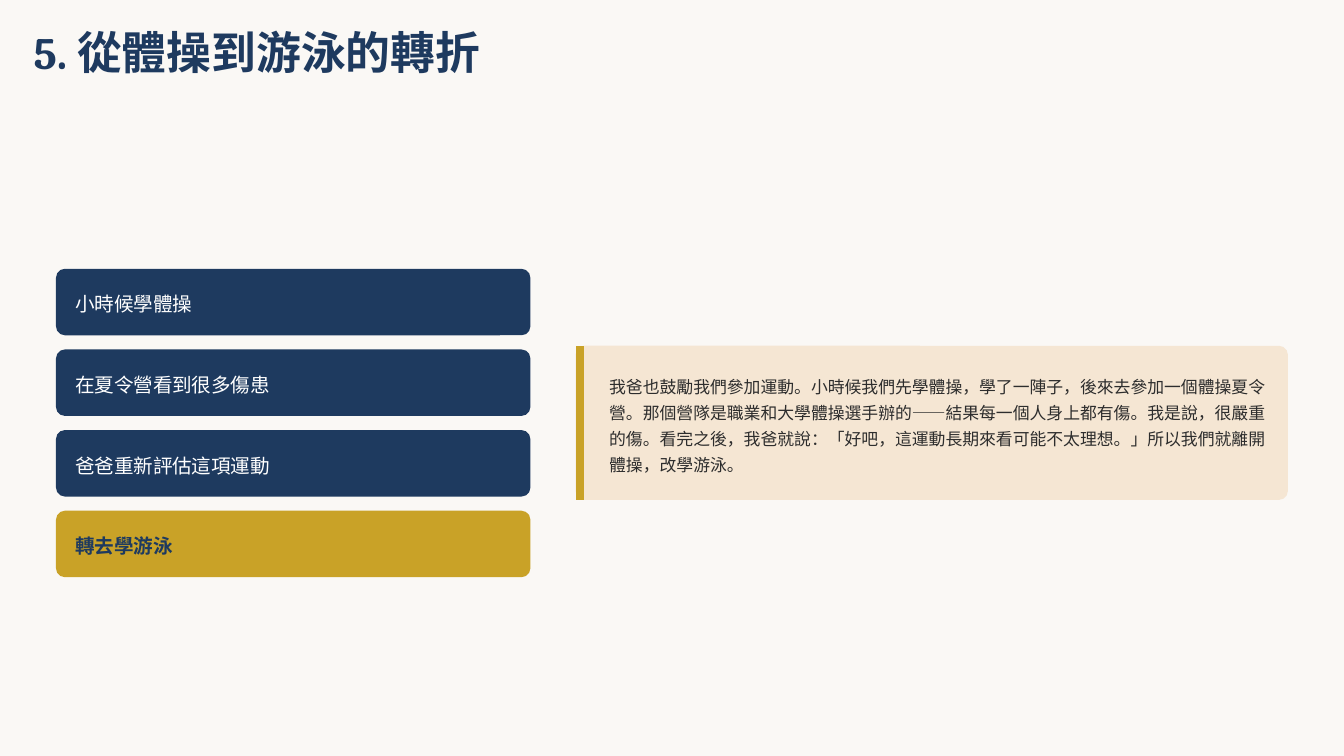
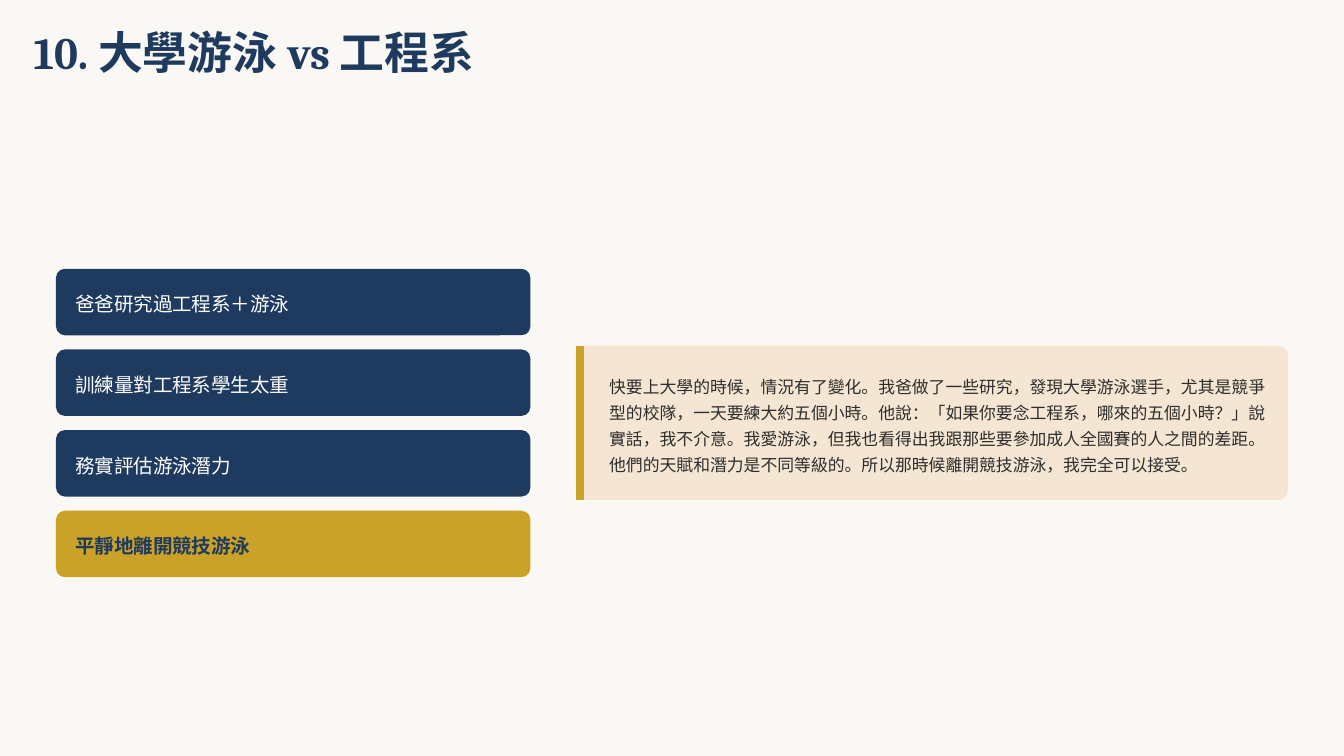
from lxml.etree import SubElement
from pptx import Presentation
from pptx.dml.color import RGBColor
from pptx.enum.shapes import MSO_CONNECTOR, MSO_SHAPE
from pptx.enum.text import MSO_ANCHOR, MSO_AUTO_SIZE, PP_ALIGN
from pptx.oxml.ns import qn
from pptx.util import Inches, Pt

WIDE = Inches(10)
HIGH = WIDE * 9 // 16
COLS = 100
UNIT = WIDE / COLS

NAVY, GOLD, SAND = "1E3A5F", "C9A227", "F5E6D3"
PAPER, WHITE, INK = "FAF8F5", "FFFFFF", "2D2D2D"
HEAD, BODY = "Cambria", "Arial"

TITLE = (2.5, 2.5, 48.6, 3.3)
STEPS = (4.17, 20, 35.3, 22.95)
QUOTE = (42.83, 25.73, 53, 11.47)

PAGES = [
    (
        "5. 從體操到游泳的轉折",
        ["小時候學體操", "在夏令營看到很多傷患", "爸爸重新評估這項運動", "轉去學游泳"],
        "我爸也鼓勵我們參加運動。小時候我們先學體操，學了一陣子，後來去參加一個體操夏令營。"
        "那個營隊是職業和大學體操選手辦的——結果每一個人身上都有傷。我是說，很嚴重的傷。"
        "看完之後，我爸就說：「好吧，這運動長期來看可能不太理想。」所以我們就離開體操，改學游泳。",
    ),
    (
        "10. 大學游泳 vs 工程系",
        ["爸爸研究過工程系＋游泳", "訓練量對工程系學生太重", "務實評估游泳潛力", "平靜地離開競技游泳"],
        "快要上大學的時候，情況有了變化。我爸做了一些研究，發現大學游泳選手，尤其是競爭型的校隊，"
        "一天要練大約五個小時。他說：「如果你要念工程系，哪來的五個小時？」說實話，我不介意。"
        "我愛游泳，但我也看得出我跟那些要參加成人全國賽的人之間的差距。"
        "他們的天賦和潛力是不同等級的。所以那時候離開競技游泳，我完全可以接受。",
    ),
]


def paint(color, tone):
    color.rgb = RGBColor.from_string(tone)


def grid(*cells):
    return [round(cell * UNIT) for cell in cells]


def write(shape, text, size, lead, tone, face=BODY, bold=False):
    frame = shape.text_frame
    frame.word_wrap = True
    frame.auto_size = MSO_AUTO_SIZE.NONE
    frame.vertical_anchor = MSO_ANCHOR.TOP
    frame.margin_left = frame.margin_right = 0
    frame.margin_top = frame.margin_bottom = 0
    para = frame.paragraphs[0]
    para.alignment = PP_ALIGN.LEFT
    para.line_spacing = Pt(lead)
    run = para.add_run()
    run.text = text
    run.font.size = Pt(size)
    run.font.name = face
    run.font.bold = bold
    paint(run.font.color, tone)


def card(slide, box, tone, bend):
    shape = slide.shapes.add_shape(MSO_SHAPE.ROUNDED_RECTANGLE, *grid(*box))
    shape.adjustments[0] = bend
    shape.shadow.inherit = False
    shape.fill.solid()
    paint(shape.fill.fore_color, tone)
    shape.line.fill.background()


def label(slide, box, *style, **more):
    write(slide.shapes.add_textbox(*grid(*box)), *style, **more)


def title(slide, box, text):
    shape = slide.shapes.title
    shape.left, shape.top, shape.width, shape.height = grid(*box)
    write(shape, text, 24, 24, NAVY, HEAD, True)


def steps(slide, box, items, gap=1.05):
    left, top, wide, high = box
    tall = (high - gap * (len(items) - 1)) / len(items)
    for row, item in enumerate(items):
        last = row == len(items) - 1
        y = top + row * (tall + gap)
        card(slide, (left, y, wide, tall), GOLD if last else NAVY, 0.134)
        label(slide, (left + 1.43, y + 1.45, wide - 2.2, 2.04), item,
              10.5, 14.7, NAVY if last else WHITE, bold=last)


def quote(slide, box, text):
    left, top, wide, high = box
    card(slide, box, SAND, 0.058)
    x = left + 0.31
    bar = slide.shapes.add_connector(
        MSO_CONNECTOR.STRAIGHT, *grid(x, top, x, top + high))
    bar.line.width = Pt(4.5)
    paint(bar.line.color, GOLD)
    SubElement(bar._element.spPr, qn("a:effectLst"))
    label(slide, (left + 2.5, top + 1.88, wide - 3.4, high - 3.76), text,
          9, 13.95, INK)


def main():
    deck = Presentation()
    deck.slide_width, deck.slide_height = WIDE, HIGH
    back = deck.slide_master.background.fill
    back.solid()
    paint(back.fore_color, PAPER)
    plan = deck.slide_layouts.get_by_name("Title Only")
    for head, items, words in PAGES:
        slide = deck.slides.add_slide(plan)
        title(slide, TITLE, head)
        steps(slide, STEPS, items)
        quote(slide, QUOTE, words)
    deck.save("out.pptx")


if __name__ == "__main__":
    main()
